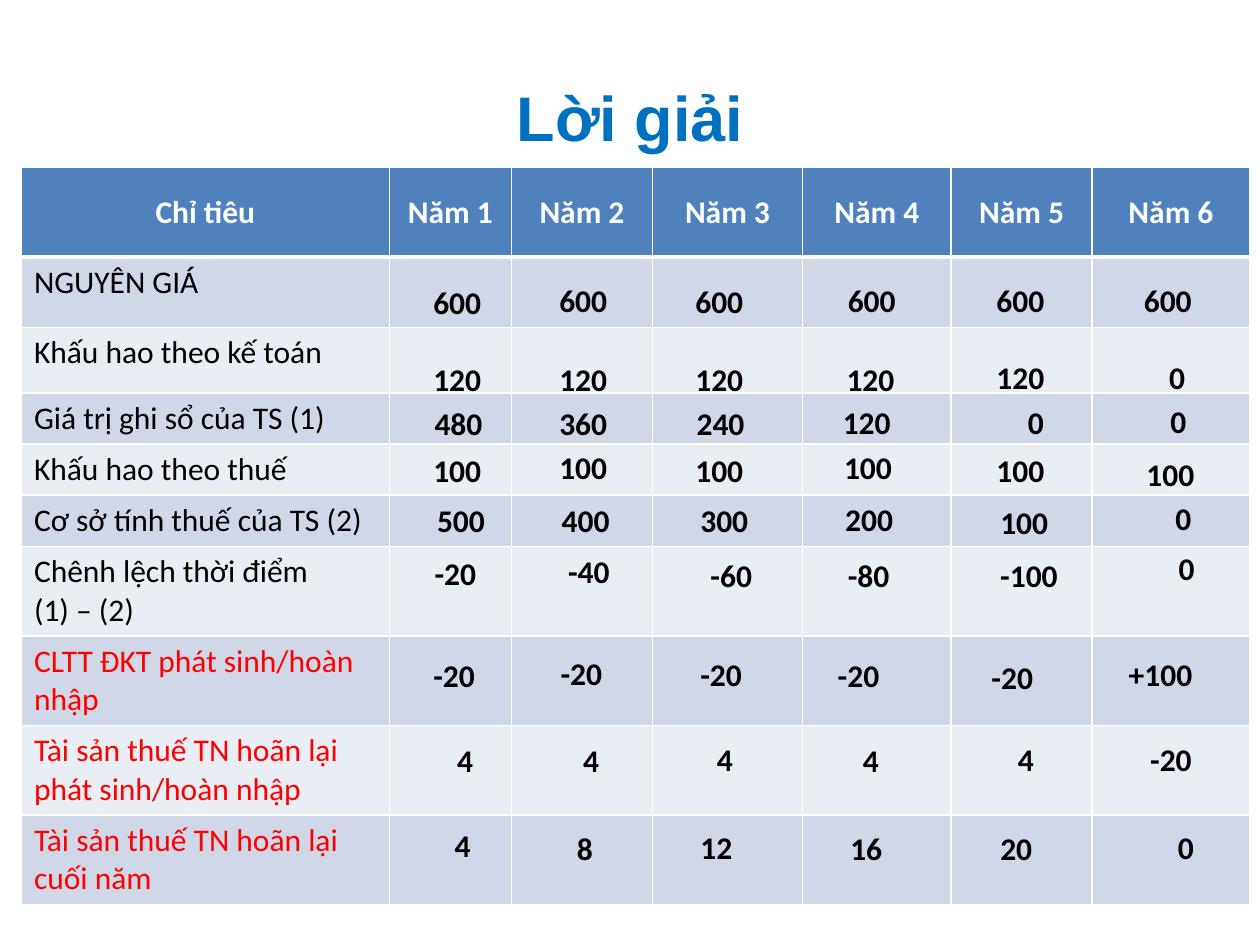
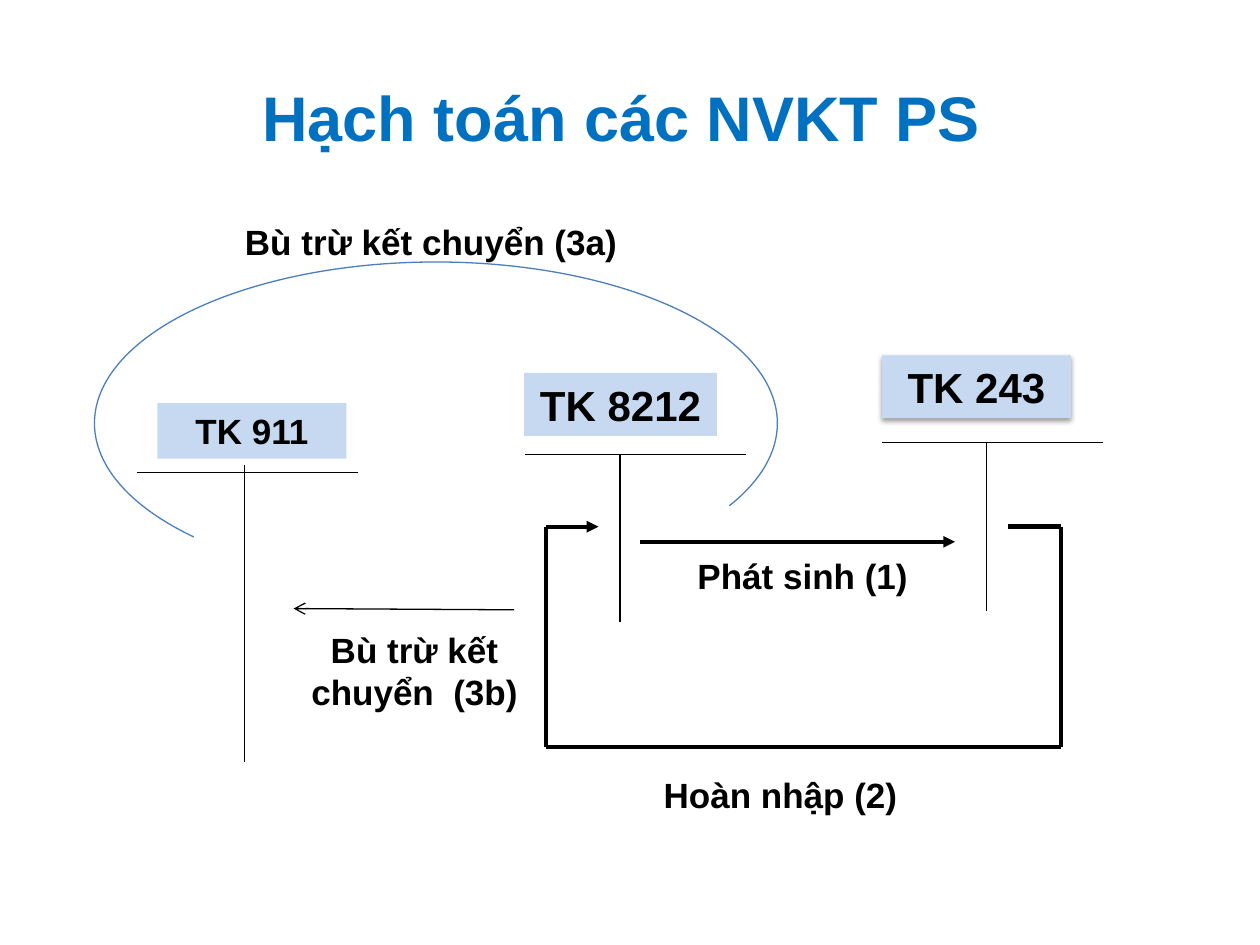
from lxml import etree
from pptx import Presentation
from pptx.dml.color import RGBColor
from pptx.enum.shapes import MSO_CONNECTOR, MSO_SHAPE
from pptx.enum.text import MSO_ANCHOR, MSO_AUTO_SIZE, PP_ALIGN
from pptx.oxml.ns import qn
from pptx.util import Inches, Pt

TITLE_BLUE = RGBColor(0x00, 0x70, 0xC0)
HEADER_BLUE = RGBColor(0x4F, 0x81, 0xBD)
BAND_DARK = RGBColor(0xD0, 0xD8, 0xE8)
BAND_LIGHT = RGBColor(0xE9, 0xED, 0xF4)
ACCOUNT_BLUE = RGBColor(0xC6, 0xD9, 0xF1)
ARC_BLUE = RGBColor(0x4B, 0x7E, 0xBC)
RED = RGBColor(0xFF, 0x00, 0x00)
WHITE = RGBColor(0xFF, 0xFF, 0xFF)
BLACK = RGBColor(0x00, 0x00, 0x00)

TITLE_FORMAT = {"name": "Arial", "size": Pt(36), "bold": True}
HEADER_FORMAT = {"name": "Calibri", "size": Pt(18), "bold": True}
ITEM_FORMAT = {"name": "Calibri", "size": Pt(18), "bold": False}
FIGURE_FORMAT = HEADER_FORMAT
LABEL_FORMAT = {"name": "Arial", "size": Pt(20), "bold": True}
ACCOUNT_FORMAT = {"name": "Arial", "size": Pt(24), "bold": True}

COLUMN_WIDTHS = [2.92, 0.97, 1.12, 1.19, 1.18, 1.12, 1.25]
HEADERS = ["Chỉ tiêu"] + [f"Năm {year}" for year in range(1, 7)]
# Item, row height, text colour
ITEMS = [
    ("NGUYÊN GIÁ", 0.56, BLACK),
    ("Khấu hao theo kế toán", 0.52, BLACK),
    ("Giá trị ghi sổ của TS (1)", 0.4, BLACK),
    ("Khấu hao theo thuế", 0.4, BLACK),
    ("Cơ sở tính thuế của TS (2)", 0.4, BLACK),
    ("Chênh lệch thời điểm\n(1) – (2)", 0.7, BLACK),
    ("CLTT ĐKT phát sinh/hoàn nhập", 0.7, RED),
    ("Tài sản thuế TN hoãn lại phát sinh/hoàn nhập", 0.7, RED),
    ("Tài sản thuế TN hoãn lại cuối năm", 0.7, RED),
]
# Yearly values of each item, with the left and top of each value
FIGURES = [
    (["600"] * 6,
     [3.34, 4.34, 5.42, 6.63, 7.81, 8.98], [2.2, 2.18, 2.19, 2.18, 2.18, 2.18]),
    (["120"] * 5 + ["0"],
     [3.34, 4.34, 5.42, 6.62, 7.81, 9.18], [2.81, 2.81, 2.81, 2.81, 2.79, 2.79]),
    (["480", "360", "240", "120", "0", "0"],
     [3.35, 4.34, 5.43, 6.59, 8.06, 9.19], [3.16, 3.16, 3.16, 3.15, 3.15, 3.14]),
    (["100"] * 6,
     [3.34, 4.34, 5.42, 6.6, 7.81, 9], [3.53, 3.51, 3.53, 3.51, 3.53, 3.56]),
    (["500", "400", "300", "200", "100", "0"],
     [3.37, 4.36, 5.46, 6.61, 7.84, 9.23], [3.93, 3.93, 3.93, 3.92, 3.94, 3.91]),
    (["-20", "-40", "-60", "-80", "-100"],
     [3.35, 4.41, 5.54, 6.63, 7.84], [4.35, 4.33, 4.36, 4.36, 4.36]),
    (["-20"] * 5 + ["+100"],
     [3.34, 4.35, 5.46, 6.55, 7.77, 8.86], [5.16, 5.14, 5.15, 5.16, 5.17, 5.15]),
    (["4"] * 5 + ["-20"],
     [3.53, 4.53, 5.59, 6.75, 7.98, 9.03], [5.83, 5.83, 5.82, 5.83, 5.82, 5.82]),
    (["4", "8", "12", "16", "20", "0"],
     [3.51, 4.48, 5.46, 6.65, 7.84, 9.25], [6.51, 6.53, 6.52, 6.53, 6.53, 6.52]),
]
FIGURE_WIDTHS = {"4": 0.45, "8": 0.45, "-100": 0.8, "+100": 0.8}

# T-accounts: horizontal bar, then vertical stem
ACCOUNT_LINES = [
    (4.17, 3.61, 5.92, 3.61), (4.92, 3.61, 4.92, 4.94),
    (7, 3.51, 8.75, 3.51), (7.83, 3.51, 7.83, 4.85),
    (1.09, 3.75, 2.84, 3.75), (1.94, 3.69, 1.94, 6.05),
]
REVERSAL_LINES = [
    (4.33, 4.18, 4.33, 5.93), (4.33, 5.93, 8.42, 5.93), (8.42, 4.18, 8.42, 5.93),
]


def format_text(text_frame, text_format, color, alignment):
    for paragraph in text_frame.paragraphs:
        paragraph.alignment = alignment
        for name, value in text_format.items():
            setattr(paragraph.font, name, value)
        paragraph.font.color.rgb = color


def add_titled_slide(presentation, text):
    slide = presentation.slides.add_slide(presentation.slide_layouts[5])
    title = slide.shapes.title
    title.left, title.top = Inches(0.5), Inches(0.3)
    title.width, title.height = Inches(9), Inches(1.25)
    title.text_frame.text = text
    title.text_frame.vertical_anchor = MSO_ANCHOR.MIDDLE
    format_text(title.text_frame, TITLE_FORMAT, TITLE_BLUE, PP_ALIGN.CENTER)
    return slide


def fill_text_frame(shape, text, text_format, alignment):
    text_frame = shape.text_frame
    text_frame.word_wrap = True
    text_frame.auto_size = MSO_AUTO_SIZE.SHAPE_TO_FIT_TEXT
    text_frame.vertical_anchor = MSO_ANCHOR.TOP
    text_frame.text = text
    format_text(text_frame, text_format, BLACK, alignment)


def add_label(slide, text, left, top, width, height,
              text_format=LABEL_FORMAT, alignment=PP_ALIGN.CENTER):
    box = slide.shapes.add_textbox(
        Inches(left), Inches(top), Inches(width), Inches(height))
    fill_text_frame(box, text, text_format, alignment)
    return box


def add_figure(slide, text, left, top, alignment=PP_ALIGN.LEFT):
    box = add_label(slide, text, left, top, FIGURE_WIDTHS.get(text, 0.58), 0.42,
                    FIGURE_FORMAT, alignment)
    if alignment == PP_ALIGN.LEFT:
        box.text_frame.margin_right = 0


def add_account(slide, text, left, top, width, height, text_format=ACCOUNT_FORMAT):
    account = slide.shapes.add_shape(
        MSO_SHAPE.RECTANGLE, Inches(left), Inches(top), Inches(width), Inches(height))
    account.shadow.inherit = False
    account.fill.solid()
    account.fill.fore_color.rgb = ACCOUNT_BLUE
    account.line.fill.background()
    fill_text_frame(account, text, text_format, PP_ALIGN.CENTER)
    return account


def add_soft_shadow(shape):
    effects = shape._element.spPr.find(qn("a:effectLst"))
    shadow = etree.SubElement(
        effects, qn("a:outerShdw"), blurRad=str(Pt(3.1)), dist=str(Pt(1.6)),
        dir="5400000", algn="ctr", rotWithShape="0")
    color = etree.SubElement(shadow, qn("a:srgbClr"), val=str(BLACK))
    etree.SubElement(color, qn("a:alpha"), val="38000")


def add_line(slide, start_x, start_y, end_x, end_y, weight=0.75, arrowhead=None):
    line = slide.shapes.add_connector(
        MSO_CONNECTOR.STRAIGHT,
        Inches(start_x), Inches(start_y), Inches(end_x), Inches(end_y))
    line.line.color.rgb = BLACK
    line.line.width = Pt(weight)
    if arrowhead:
        etree.SubElement(line.line._get_or_add_ln(), qn("a:tailEnd"), type=arrowhead)
    etree.SubElement(line._element.spPr, qn("a:effectLst"))


def add_arc(slide, left, top, width, height, start, end):
    arc = slide.shapes.add_shape(
        MSO_SHAPE.ARC, Inches(left), Inches(top), Inches(width), Inches(height))
    arc.adjustments[0], arc.adjustments[1] = start, end
    arc.shadow.inherit = False
    arc.fill.background()
    arc.line.color.rgb = ARC_BLUE
    arc.line.width = Pt(0.75)


def style_cell(cell, fill_color, bottom_weight=1):
    """Give the cell white borders and a solid fill."""
    properties = cell._tc.get_or_add_tcPr()
    for side in "LRTB":
        weight = bottom_weight if side == "B" else 1
        border = etree.SubElement(properties, qn(f"a:ln{side}"), w=str(Pt(weight)))
        solid = etree.SubElement(border, qn("a:solidFill"))
        etree.SubElement(solid, qn("a:srgbClr"), val=str(WHITE))
    cell.fill.solid()
    cell.fill.fore_color.rgb = fill_color


def add_solution_table(slide):
    heights = [0.71] + [height for _, height, _ in ITEMS]
    table = slide.shapes.add_table(
        len(heights), len(COLUMN_WIDTHS), Inches(0.17), Inches(1.33),
        Inches(sum(COLUMN_WIDTHS)), Inches(sum(heights))).table
    for column, width in zip(table.columns, COLUMN_WIDTHS):
        column.width = Inches(width)
    for row, height in zip(table.rows, heights):
        row.height = Inches(height)
    for cell, header in zip(table.rows[0].cells, HEADERS):
        style_cell(cell, HEADER_BLUE, bottom_weight=3)
        cell.text = header
        cell.vertical_anchor = MSO_ANCHOR.MIDDLE
        format_text(cell.text_frame, HEADER_FORMAT, WHITE, PP_ALIGN.CENTER)
    for index, (item, _, color) in enumerate(ITEMS, start=1):
        for cell in table.rows[index].cells:
            style_cell(cell, BAND_DARK if index % 2 else BAND_LIGHT)
        item_cell = table.cell(index, 0)
        item_cell.text = item
        format_text(item_cell.text_frame, ITEM_FORMAT, color, PP_ALIGN.LEFT)


def build_solution_slide(presentation):
    slide = add_titled_slide(presentation, "Lời giải")
    add_solution_table(slide)
    for values, lefts, tops in FIGURES:
        for value, left, top in zip(values, lefts, tops):
            add_figure(slide, value, left, top)
    add_figure(slide, "0", 9, 4.31, PP_ALIGN.RIGHT)


def build_accounts_slide(presentation):
    slide = add_titled_slide(presentation, "Hạch toán các NVKT PS ")
    add_account(slide, "TK 8212", 4.16, 2.96, 1.53, 0.5)
    add_soft_shadow(add_account(slide, "TK 243", 7, 2.82, 1.5, 0.5))
    add_account(slide, "TK 911", 1.25, 3.2, 1.5, 0.44, LABEL_FORMAT)
    for ends in ACCOUNT_LINES:
        add_line(slide, *ends)

    add_line(slide, 5.08, 4.3, 7.58, 4.3, 2.25, "triangle")
    add_label(slide, "Phát sinh (1)", 5.08, 4.35, 2.58, 0.44)

    add_line(slide, 8.42, 4.18, 8, 4.18, 3)
    for ends in REVERSAL_LINES:
        add_line(slide, *ends, weight=2.25)
    add_line(slide, 4.33, 4.18, 4.75, 4.18, 2.25, "triangle")
    add_label(slide, "Hoàn nhập (2)", 5, 6.09, 2.39, 0.44)

    add_arc(slide, 0.75, 2.08, 5.42, 2.56, start=92.91, end=9.43)
    add_label(slide, "Bù trừ kết chuyển (3a) ", 1.75, 1.7, 3.42, 0.44)
    add_line(slide, 4.08, 4.84, 2.33, 4.83, arrowhead="arrow")
    add_label(slide, "Bù trừ kết chuyển  (3b)", 2.25, 4.94, 2.08, 0.77)


def main():
    presentation = Presentation()
    presentation.slide_width = Inches(10)
    presentation.slide_height = Inches(7.5)
    build_solution_slide(presentation)
    build_accounts_slide(presentation)
    presentation.save("out.pptx")


if __name__ == "__main__":
    main()
